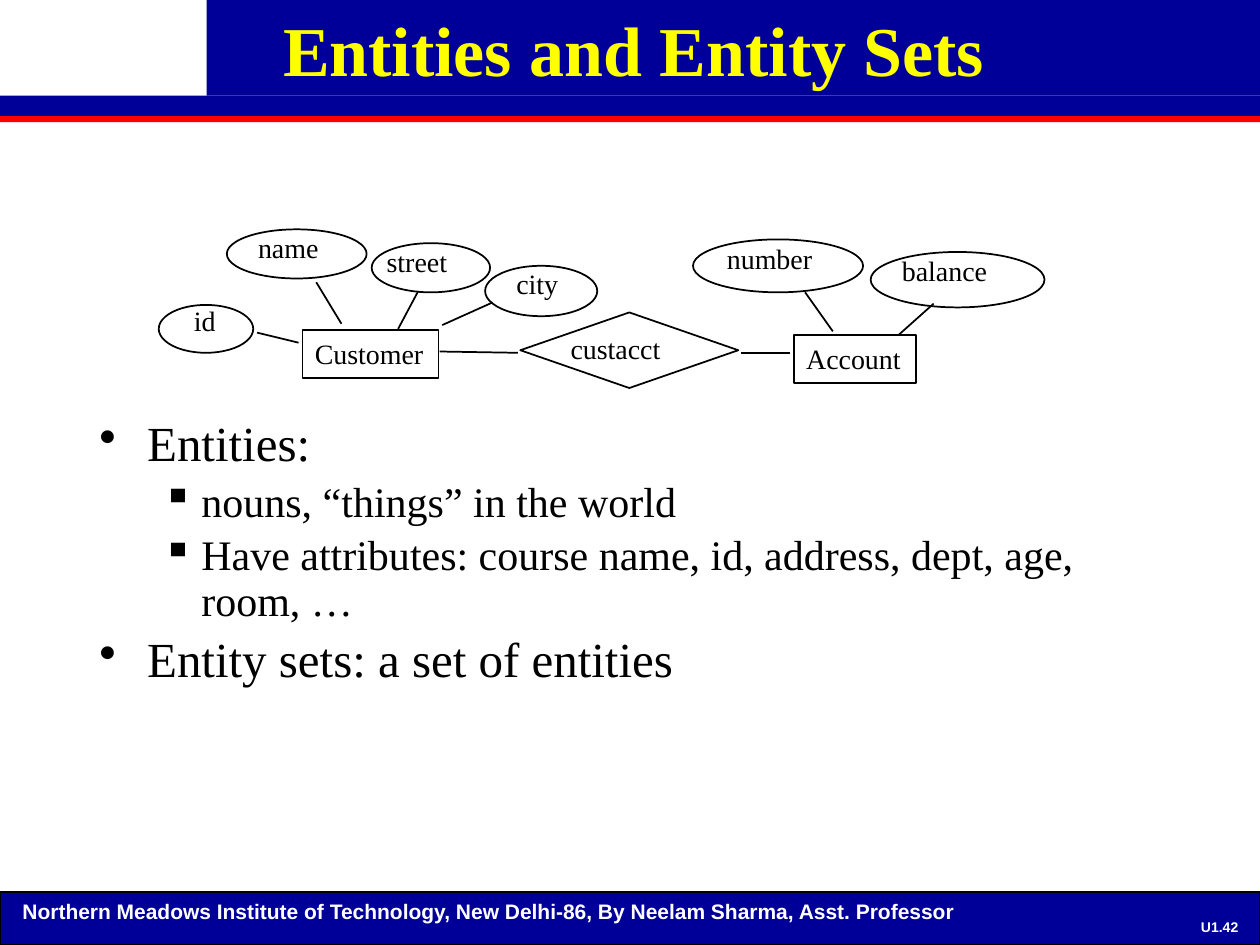
from lxml import etree
from pptx import Presentation
from pptx.dml.color import RGBColor
from pptx.enum.shapes import MSO_CONNECTOR as CONNECTOR, MSO_SHAPE as SHAPE
from pptx.enum.text import MSO_ANCHOR as ANCHOR, PP_ALIGN as ALIGN
from pptx.oxml.ns import qn
from pptx.util import Inches, Pt

SERIF, SANS = "Times New Roman", "Arial"
BLACK, WHITE, NAVY, RED, YELLOW = "000000", "FFFFFF", "000099", "FF0000", "FFFF00"


def color(hex_value):
    return RGBColor.from_string(hex_value)


def set_font(paragraph, name, size, hex_value, bold=False):
    font = paragraph.font
    font.name, font.size, font.bold = name, Pt(size), bold
    font.color.rgb = color(hex_value)


def add_outline(slide, kind, left, top, width, height, fill=None, line=None, weight=1):
    shape = slide.shapes.add_shape(
        kind, Inches(left), Inches(top), Inches(width), Inches(height))
    shape.shadow.inherit = False
    if fill:
        shape.fill.solid()
        shape.fill.fore_color.rgb = color(fill)
    else:
        shape.fill.background()
    if line:
        shape.line.color.rgb = color(line)
        shape.line.width = Pt(weight)
    else:
        shape.line.fill.background()
    return shape


def add_text(slide, text, left, top, width, height, name=SERIF, size=16,
             hex_value=BLACK, bold=False, wrap=False):
    box = slide.shapes.add_textbox(
        Inches(left), Inches(top), Inches(width), Inches(height))
    box.text_frame.word_wrap = wrap
    paragraph = box.text_frame.paragraphs[0]
    paragraph.text = text
    set_font(paragraph, name, size, hex_value, bold)
    return box


def add_link(slide, x1, y1, x2, y2):
    link = slide.shapes.add_connector(
        CONNECTOR.STRAIGHT, Inches(x1), Inches(y1), Inches(x2), Inches(y2))
    link.line.color.rgb = color(BLACK)
    link.line.width = Pt(1)
    etree.SubElement(link._element.spPr, qn("a:effectLst"))


def add_header(slide, left, top, width):
    logo_width, logo_height = 1.64, 0.76
    add_outline(slide, SHAPE.RECTANGLE, left, top + 0.92, width, 0.05, RED)
    add_outline(slide, SHAPE.RECTANGLE, left + logo_width, top,
                width - logo_width, logo_height, NAVY)
    add_outline(slide, SHAPE.RECTANGLE, left, top + logo_height, width, 0.16, NAVY)

    title = slide.shapes.title
    title.left, title.top = Inches(left + 0.53), Inches(top)
    title.width, title.height = Inches(9), Inches(1.25)
    title.text_frame.text = "Entities and Entity Sets"
    title.text_frame.vertical_anchor = ANCHOR.TOP
    heading = title.text_frame.paragraphs[0]
    heading.alignment = ALIGN.CENTER
    set_font(heading, SERIF, 40, YELLOW, bold=True)
    slide.shapes._spTree.append(title._element)  # in front of the bars


def add_footer(slide, left, top, width, height):
    add_outline(slide, SHAPE.RECTANGLE, left, top, width, height, NAVY, BLACK, 0.75)
    add_text(slide, "Northern Meadows Institute of Technology, New Delhi-86, "
             "By Neelam Sharma, Asst. Professor",
             left + 0.08, top, 9.2, 0.3, SANS, 12, WHITE, bold=True, wrap=True)
    number = add_text(slide, "U1.42", left + 9.42, top + 0.18, 0.52, 0.19,
                      SANS, 8, WHITE, bold=True)
    frame = number.text_frame
    frame.margin_left = frame.margin_right = frame.margin_top = frame.margin_bottom = 0
    frame.vertical_anchor = ANCHOR.MIDDLE
    frame.paragraphs[0].alignment = ALIGN.CENTER


def add_er_diagram(slide, left, top):
    """Entities, attributes and their relationship, offset from the given corner."""
    entities = [("Customer", 1.14, 0.8, 1.08), ("Account", 5.04, 0.84, 0.97)]
    for name, x, y, width in entities:
        box = add_text(slide, name, left + x, top + y, width, 0.38)
        box.line.color.rgb = color(BLACK)
        box.line.width = Pt(1)

    # name, shape, x, y, width, height, label offset
    ovals = [
        ("name", SHAPE.OVAL, 0.54, 0, 1.11, 0.39, 0.15, -0.04),
        ("street", SHAPE.OVAL, 1.69, 0.11, 0.94, 0.39, 0.02, -0.04),
        ("city", SHAPE.OVAL, 2.59, 0.29, 0.89, 0.4, 0.15, -0.04),
        ("id", SHAPE.OVAL, 0, 0.6, 0.75, 0.38, 0.18, -0.06),
        ("number", SHAPE.OVAL, 4.24, 0.08, 1.35, 0.42, 0.17, -0.03),
        ("balance", SHAPE.OVAL, 5.65, 0.18, 1.38, 0.44, 0.15, -0.04),
    ]
    relationship = ("custacct", SHAPE.DIAMOND, 2.87, 0.66, 1.73, 0.6, 0.3, 0.1)
    for name, kind, x, y, width, height, dx, dy in ovals + [relationship]:
        add_outline(slide, kind, left + x, top + y, width, height, line=BLACK)
        add_text(slide, name, left + x + dx, top + y + dy, width - dx, 0.37)

    links = [
        (1.11, 0.9, 0.78, 0.82), (1.45, 0.75, 1.25, 0.42),
        (1.9, 0.79, 2.06, 0.49), (2.25, 0.76, 2.65, 0.58),
        (5.35, 0.81, 5.13, 0.5), (5.87, 0.84, 6.15, 0.59),
        (2.85, 0.98, 2.23, 0.97), (5.01, 0.98, 4.62, 0.98),
    ]
    for x1, y1, x2, y2 in links:
        add_link(slide, left + x1, top + y1, left + x2, top + y2)


def add_bullets(slide, left, top, width, height):
    levels = [("•", 28, 0.38, 0.38), ("▪", 24, 0.81, 0.31)]
    points = [
        (0, "Entities:"),
        (1, "nouns, “things” in the world"),
        (1, "Have attributes: course name, id, address, dept, age, room, …"),
        (0, "Entity sets: a set of entities"),
    ]
    box = slide.shapes.add_textbox(
        Inches(left), Inches(top), Inches(width), Inches(height))
    frame = box.text_frame
    frame.word_wrap = True
    for index, (level, text) in enumerate(points):
        mark, size, indent, hanging = levels[level]
        paragraph = frame.add_paragraph() if index else frame.paragraphs[0]
        paragraph.text = text
        paragraph.level = level
        paragraph.line_spacing = 0.9
        paragraph.space_before = Pt(size * 0.2)
        set_font(paragraph, SERIF, size, BLACK)
        properties = paragraph._p.get_or_add_pPr()
        properties.set("marL", str(Inches(indent)))
        properties.set("indent", str(-Inches(hanging)))
        bullet = etree.Element(qn("a:buChar"), char=mark)
        properties.find(qn("a:defRPr")).addprevious(bullet)


def main():
    presentation = Presentation()
    presentation.slide_width, presentation.slide_height = Inches(10), Inches(7.5)
    slide = presentation.slides.add_slide(presentation.slide_layouts[5])
    add_header(slide, 0, 0, 10)
    add_footer(slide, 0, 7.08, 10, 0.42)
    add_er_diagram(slide, 1.26, 1.82)
    add_bullets(slide, 0.69, 3.28, 8.63, 3.64)
    presentation.save("out.pptx")


if __name__ == "__main__":
    main()
